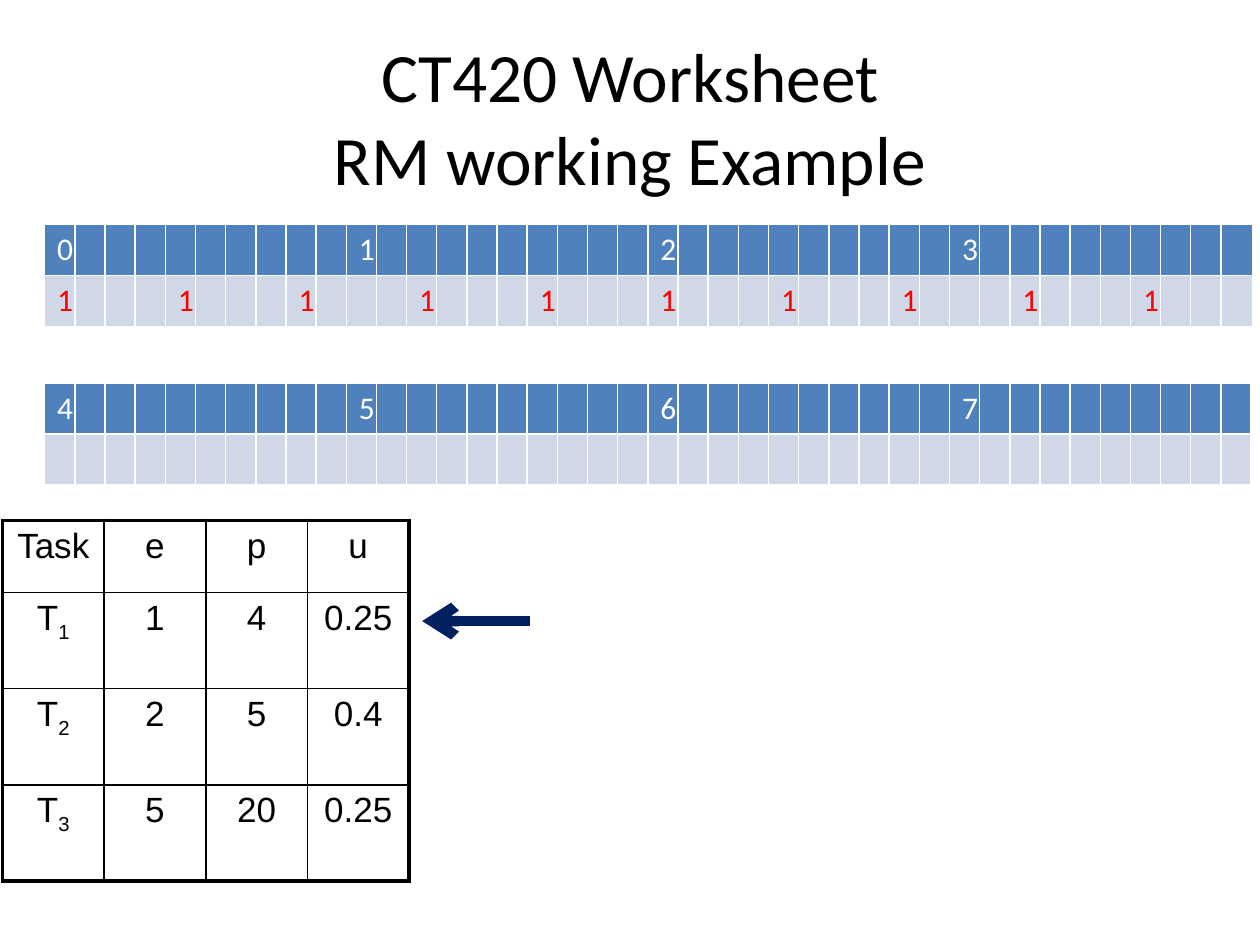
from dataclasses import dataclass

from lxml import etree
from pptx import Presentation
from pptx.dml.color import RGBColor
from pptx.enum.shapes import MSO_CONNECTOR
from pptx.enum.text import MSO_ANCHOR, MSO_AUTO_SIZE, PP_ALIGN
from pptx.oxml.ns import qn
from pptx.util import Cm, Pt

CENTER = PP_ALIGN.CENTER
MIDDLE = MSO_ANCHOR.MIDDLE
NO_AUTOFIT = MSO_AUTO_SIZE.NONE
STRAIGHT = MSO_CONNECTOR.STRAIGHT
TITLE_ONLY = 5

BLACK, WHITE, RED = "000000", "FFFFFF", "FF0000"
HEADER_BLUE, BAND_BLUE, NAVY = "4F81BD", "D0D8E8", "002060"

SLOTS = 40
SLOTS_PER_LABEL = 10
SLOT_WIDTH = 0.58
TIMELINE_LEFT = 0.9
TIMELINE_ROW = 1.03

TASK_COLUMN = 2.05
TASK_ROWS = (1.45, 1.94, 1.94, 1.94)
THIN, THICK = 1, 2.25


@dataclass
class Timeline:
    top: float
    first_label: int
    last_slot: float
    release_period: int = 0


@dataclass
class Task:
    number: str
    execution: str
    period: str
    utilisation: str


TIMELINES = (
    Timeline(4.52, 0, 0.64, release_period=4),
    Timeline(7.72, 4, SLOT_WIDTH),
)
TASK_HEADER = ("Task ", "e", "p", "u")
TASKS = (
    Task("1", "1", "4", "0.25"),
    Task("2", "2", "5", "0.4"),
    Task("3", "5", "20", "0.25"),
)


def rgb(value: str) -> RGBColor:
    return RGBColor.from_string(value)


def add_run(paragraph, text: str, size: float, font: str, color: str,
            subscript: bool = False) -> None:
    run = paragraph.add_run()
    run.text = text
    run.font.size = Pt(size)
    run.font.name = font
    run.font.bold = False
    run.font.color.rgb = rgb(color)
    if subscript:
        run.font._element.set("baseline", "-25000")


def add_title(slide) -> None:
    title = slide.shapes.title
    title.left, title.top = Cm(1.27), Cm(0.76)
    title.width, title.height = Cm(22.86), Cm(3.18)
    frame = title.text_frame
    frame.word_wrap = True
    frame.auto_size = NO_AUTOFIT
    frame.vertical_anchor = MIDDLE
    heading = frame.paragraphs[0]
    heading.alignment = CENTER
    add_run(heading, "CT420 Worksheet", 39.6, "Calibri", BLACK)
    heading.add_line_break()
    add_run(heading, "RM working Example", 39.6, "Calibri", BLACK)


def add_timeline(slide, timeline: Timeline) -> None:
    width = SLOT_WIDTH * (SLOTS - 1) + timeline.last_slot
    table = slide.shapes.add_table(
        2, SLOTS, Cm(TIMELINE_LEFT), Cm(timeline.top),
        Cm(width), Cm(2 * TIMELINE_ROW)).table
    for row in table.rows:
        row.height = Cm(TIMELINE_ROW)
    for slot in range(SLOTS):
        last = slot == SLOTS - 1
        table.columns[slot].width = Cm(timeline.last_slot if last else SLOT_WIDTH)
        for row, fill in enumerate((HEADER_BLUE, BAND_BLUE)):
            cell = table.cell(row, slot)
            cell.fill.solid()
            cell.fill.fore_color.rgb = rgb(fill)

    # Time labels, then the releases of the first task
    for slot in range(0, SLOTS, SLOTS_PER_LABEL):
        label = timeline.first_label + slot // SLOTS_PER_LABEL
        add_run(table.cell(0, slot).text_frame.paragraphs[0],
                str(label), 18, "Calibri", WHITE)
    if timeline.release_period:
        for slot in range(0, SLOTS, timeline.release_period):
            add_run(table.cell(1, slot).text_frame.paragraphs[0],
                    "1", 18, "Calibri", RED)


def set_borders(cell, widths: dict[str, float]) -> None:
    properties = cell._tc.get_or_add_tcPr()
    for side in "LRTB":
        line = etree.SubElement(properties, qn(f"a:ln{side}"),
                                w=str(Pt(widths[side])))
        fill = etree.SubElement(line, qn("a:solidFill"))
        etree.SubElement(fill, qn("a:srgbClr"), val=BLACK)


def add_task_table(slide) -> None:
    rows = [[(text,) for text in TASK_HEADER]]
    for task in TASKS:
        rows.append([("T", task.number), (task.execution,),
                     (task.period,), (task.utilisation,)])
    columns = len(TASK_HEADER)
    table = slide.shapes.add_table(
        len(rows), columns, Cm(0.05), Cm(10.49),
        Cm(columns * TASK_COLUMN), Cm(sum(TASK_ROWS))).table
    table.first_row = False
    table.horz_banding = False
    for column in table.columns:
        column.width = Cm(TASK_COLUMN)

    for r, (entries, height) in enumerate(zip(rows, TASK_ROWS)):
        table.rows[r].height = Cm(height)
        for c, parts in enumerate(entries):
            cell = table.cell(r, c)
            set_borders(cell, {
                "L": THICK if c == 0 else THIN,
                "R": THICK if c == columns - 1 else THIN,
                "T": THICK if r == 0 else THIN,
                "B": THICK if r == len(rows) - 1 else THIN,
            })
            cell.fill.background()
            paragraph = cell.text_frame.paragraphs[0]
            paragraph.alignment = CENTER
            paragraph.space_before = Pt(4)
            for position, text in enumerate(parts):
                add_run(paragraph, text, 20, "Arial", BLACK,
                        subscript=position > 0)


def add_task_pointer(slide) -> None:
    pointer = slide.shapes.add_connector(
        STRAIGHT, Cm(10.69), Cm(12.52), Cm(8.51), Cm(12.52))
    pointer.line.color.rgb = rgb(NAVY)
    pointer.line.width = Pt(6)
    etree.SubElement(pointer.line._get_or_add_ln(), qn("a:tailEnd"), type="arrow")
    etree.SubElement(pointer._element.spPr, qn("a:effectLst"))


def main() -> None:
    presentation = Presentation()
    presentation.slide_width, presentation.slide_height = Cm(25.4), Cm(19.05)
    slide = presentation.slides.add_slide(presentation.slide_layouts[TITLE_ONLY])
    add_title(slide)
    for timeline in TIMELINES:
        add_timeline(slide, timeline)
    add_task_pointer(slide)
    add_task_table(slide)
    presentation.save("out.pptx")


if __name__ == "__main__":
    main()
